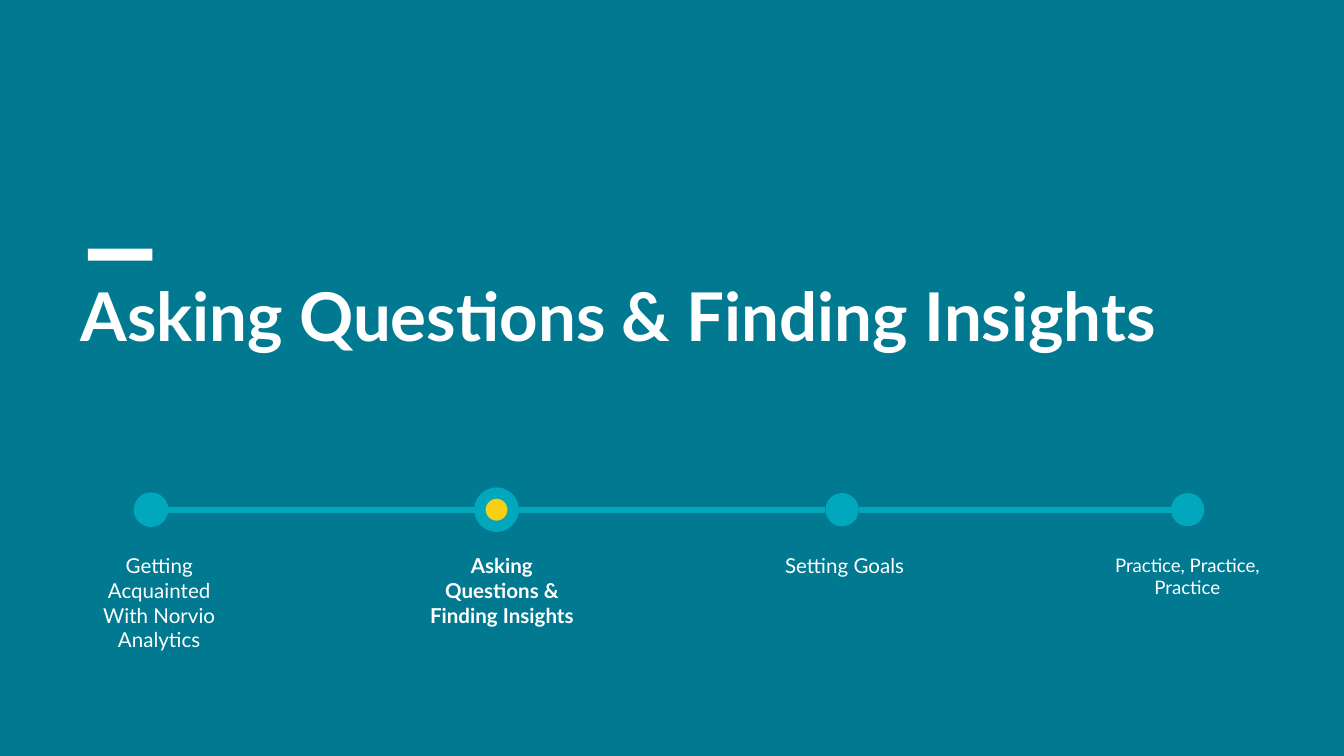
from lxml import etree
from pptx import Presentation
from pptx.dml.color import RGBColor
from pptx.enum.shapes import MSO_CONNECTOR, MSO_SHAPE
from pptx.enum.text import MSO_ANCHOR, MSO_AUTO_SIZE, PP_ALIGN
from pptx.oxml.ns import qn
from pptx.util import Cm, Pt

RECT, OVAL = MSO_SHAPE.RECTANGLE, MSO_SHAPE.OVAL
STRAIGHT = MSO_CONNECTOR.STRAIGHT
TOP = MSO_ANCHOR.TOP
NO_FIT = MSO_AUTO_SIZE.NONE
LEFT, CENTER = PP_ALIGN.LEFT, PP_ALIGN.CENTER

FONT = "Lato"
COLORS = {"back": "017991", "track": "00A7BD", "current": "F9CE16", "text": "FFFFFF"}

# label, text size, is the current step
STEPS = [
    ("Getting Acquainted With Norvio Analytics", 11, False),
    ("Asking Questions & Finding Insights", 11, True),
    ("Setting Goals", 11, False),
    ("Practice, Practice, Practice", 10, False),
]


def color(name):
    return RGBColor.from_string(COLORS[name])


def add_filled(slide, kind, x, y, w, h, fill):
    sp = slide.shapes.add_shape(kind, Cm(x), Cm(y), Cm(w), Cm(h))
    sp.shadow.inherit = False
    sp.fill.solid()
    sp.fill.fore_color.rgb = color(fill)
    sp.line.fill.background()
    return sp


def write(sp, text, size, bold, align):
    tf = sp.text_frame
    tf.word_wrap = True
    tf.auto_size = NO_FIT
    tf.vertical_anchor = TOP
    tf.margin_left = tf.margin_right = tf.margin_top = tf.margin_bottom = Cm(0.25)
    p = tf.paragraphs[0]
    p.text = text
    p.alignment = align
    p.line_spacing = 1.0
    p.font.name = FONT
    p.font.size = Pt(size)
    p.font.bold = bold
    p.font.color.rgb = color("text")
    return p


def add_heading(slide, x, y, w, h):
    """Place the title in the box, with a short bar on its top edge."""
    add_filled(slide, RECT, x + 0.39, y - 0.23, 1.22, 0.23, "text")
    title = slide.shapes.title
    title.left, title.top, title.width, title.height = Cm(x), Cm(y), Cm(w), Cm(h)
    write(title, "Asking Questions & Finding Insights", 36, True, LEFT)


def add_track(slide, x1, x2, y):
    cn = slide.shapes.add_connector(STRAIGHT, Cm(x1), Cm(y), Cm(x2), Cm(y))
    cn.line.color.rgb = color("track")
    cn.line.width = Pt(3)
    etree.SubElement(cn._element.spPr, qn("a:effectLst"))


def add_timeline(slide, x, y, w, h):
    """Spread the steps over the box: dots along the top, labels below."""
    dot, dot_inset, dot_step = 0.63, 1.22, 6.53
    label_w, label_drop = 3.38, 0.89
    label_step = (w - label_w) / (len(STEPS) - 1)

    for i, (text, size, current) in enumerate(STEPS):
        dot_x = x + dot_inset + i * dot_step
        if i:
            add_track(slide, dot_x - dot_step + dot, dot_x, y + dot / 2)
        sp = add_filled(slide, OVAL, dot_x, y, dot, dot,
                        "current" if current else "track")
        if current or i == 0:
            sp.line.color.rgb = color("track")
            sp.line.width = Pt(6 if current else 0.75)

        label = slide.shapes.add_textbox(Cm(x + i * label_step), Cm(y + label_drop),
                                         Cm(label_w), Cm(h - label_drop))
        p = write(label, text, size, current, CENTER)
        p.space_after = Pt(16)


def main():
    prs = Presentation()
    prs.slide_width, prs.slide_height = Cm(25.4), Cm(14.29)
    slide = prs.slides.add_slide(prs.slide_layouts[5])
    slide.background.fill.solid()
    slide.background.fill.fore_color.rgb = color("back")
    add_heading(slide, 1.27, 4.93, 22.35, 4.42)
    add_timeline(slide, 1.32, 9.32, 22.81, 3.43)
    prs.save("out.pptx")


if __name__ == "__main__":
    main()
